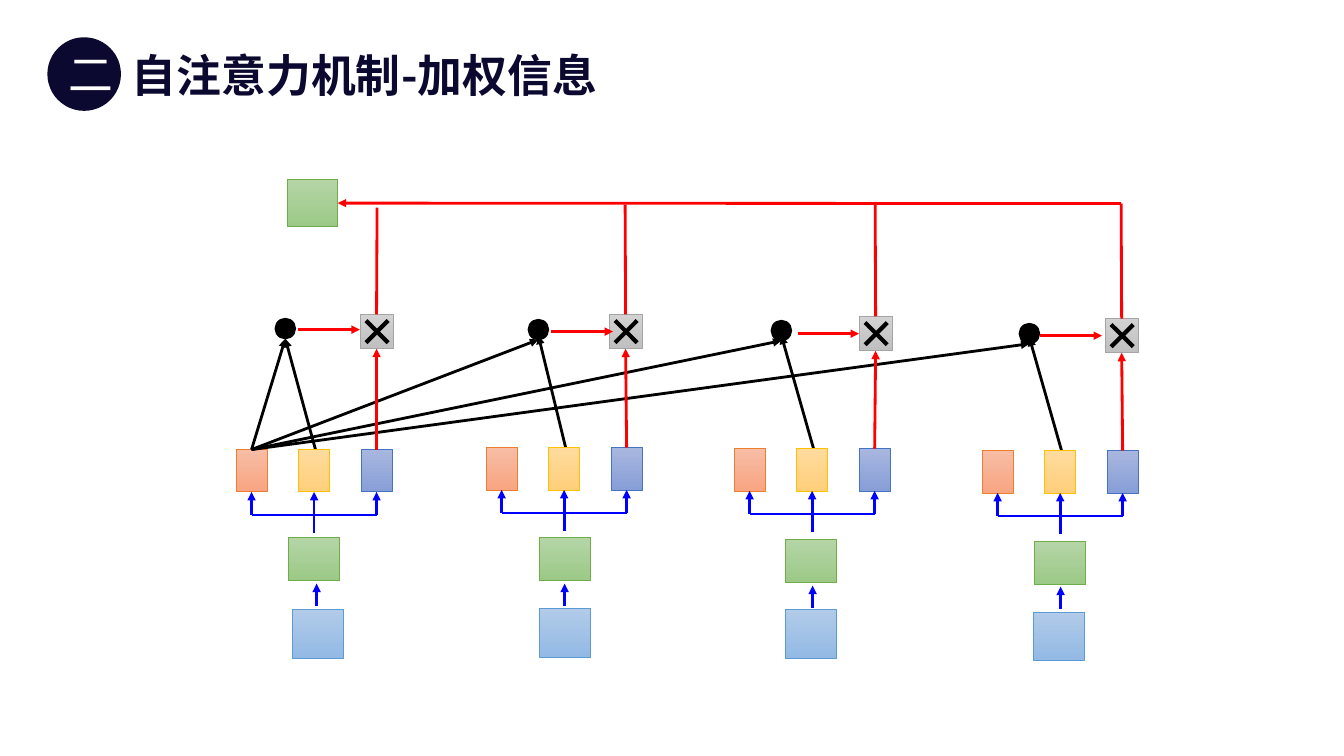
from lxml import etree
from pptx import Presentation
from pptx import util as u
from pptx.dml.color import RGBColor
from pptx.enum import shapes, text
from pptx.oxml.ns import qn

TITLE_NUMBER = "二"
TITLE = "自注意力机制-加权信息"
FONT = "Noto Sans CJK SC"
COLORS = {"navy": "0C0930", "white": "FFFFFF", "black": "000000", "blue": "0000FF", "red": "FF0000"}
BOX_COLORS = {
    "query": ("F7BDA5", "F8A582", "ED7D31"),
    "key": ("FFDB9E", "FFD07C", "FFC000"),
    "value": ("A8B7DF", "889ED7", "4472C4"),
    "embedding": ("B5D5A7", "9CC987", "70AD47"),
    "input": ("B1CBE9", "93B9E4", "5B9BD5"),
    "multiply": ("D2D2D2", "C0C0C0", "A5A5A5"),
}
BOX_SIZES = {
    "query": (0.31, 0.42), "key": (0.31, 0.42), "value": (0.31, 0.42),
    "embedding": (0.51, 0.43), "input": (0.51, 0.48), "multiply": (0.33, 0.34),
}
TOKENS = [
    {"query": (2.34, 4.46), "embedding": (2.86, 5.33), "input": (2.9, 6.05), "feed": (3.14, 6.01),
     "dot": (2.73, 3.16), "key_tip": 3.36, "multiply": (3.57, 3.12), "bus": (3.74, 2.06), "score": (2.96, 3.27)},
    {"query": (4.82, 4.44), "embedding": (5.35, 5.33), "input": (5.35, 6.04), "feed": (5.6, 6.01),
     "dot": (5.24, 3.17), "key_tip": 3.33, "multiply": (6.04, 3.12), "bus": (6.2, 2.03), "score": (5.47, 3.29)},
    {"query": (7.28, 4.45), "embedding": (7.79, 5.35), "input": (7.79, 6.05), "feed": (8.06, 6.03),
     "dot": (7.65, 3.18), "key_tip": 3.33, "multiply": (8.52, 3.14), "bus": (8.68, 2.01), "score": (7.91, 3.31)},
    {"query": (9.74, 4.47), "embedding": (10.26, 5.37), "input": (10.25, 6.07), "feed": (10.52, 6.04),
     "dot": (10.11, 3.21), "key_tip": 3.35, "multiply": (10.96, 3.16), "bus": (11.12, 2.02), "score": (10.32, 3.33)},
]
OUTPUT = (2.85, 1.78, 0.5, 0.47)
BUS_START = (11.12, 2.02)
DOT = 0.2
KEY_STEP, VALUE_STEP = 0.62, 1.24
FORK_DROP, STEM_DROP = 0.65, 0.83
SCORE_LENGTH, FEED_LENGTH = 0.61, 0.22
TOP, RIGHT, BOTTOM = 0, 3, 2

presentation = Presentation()
presentation.slide_width, presentation.slide_height = u.Inches(13.33), u.Inches(7.5)
slide = presentation.slides.add_slide(presentation.slide_layouts[6])


def color(name):
    return RGBColor.from_string(COLORS.get(name, name))


def add_shape(kind, left, top, width, height):
    shape = slide.shapes.add_shape(kind, *map(u.Inches, (left, top, width, height)))
    shape.shadow.inherit = False
    return shape


def add_box(role, left, top, width=None, height=None):
    default_width, default_height = BOX_SIZES[role]
    shape = add_shape(shapes.MSO_SHAPE.RECTANGLE, left, top, width or default_width, height or default_height)
    upper, lower, border = BOX_COLORS[role]
    shape.fill.gradient()
    shape.fill.gradient_angle = 270
    for stop, shade, position in zip(shape.fill.gradient_stops, (upper, lower), (0, 1)):
        stop.color.rgb = color(shade)
        stop.position = position
    shape.line.color.rgb = color(border)
    shape.line.width = u.Pt(0.5)
    return shape


def add_circle(name, left, top, size):
    shape = add_shape(shapes.MSO_SHAPE.OVAL, left, top, size, size)
    shape.fill.solid()
    shape.fill.fore_color.rgb = color(name)
    shape.line.color.rgb = color(name)
    shape.line.width = u.Pt(1)
    return shape


def add_line(start, end, name, arrow=True, width=2, begin=None, finish=None):
    line = slide.shapes.add_connector(shapes.MSO_CONNECTOR.STRAIGHT, *map(u.Inches, (*start, *end)))
    line.line.color.rgb = color(name)
    line.line.width = u.Pt(width)
    properties = line.line._get_or_add_ln()
    if arrow:
        etree.SubElement(properties, qn("a:tailEnd"), type="triangle")
    etree.SubElement(properties.getparent(), qn("a:effectLst"))
    if begin:
        line.begin_connect(*begin)
    if finish:
        line.end_connect(*finish)
    return line


def write(shape, content, name, bold=False):
    shape.text_frame.text = content
    paragraph = shape.text_frame.paragraphs[0]
    run = paragraph.runs[0]
    run.font.size = u.Pt(32)
    run.font.name = FONT
    run.font.bold = bold
    run.font.color.rgb = color(name)
    etree.SubElement(run.font._element, qn("a:ea"), typeface=FONT)
    return paragraph


def add_title():
    badge = add_circle("navy", 0.47, 0.37, 0.73)
    badge.line.fill.background()
    badge.text_frame.vertical_anchor = text.MSO_ANCHOR.MIDDLE
    write(badge, TITLE_NUMBER, "white").alignment = text.PP_ALIGN.CENTER
    heading = slide.shapes.add_textbox(*map(u.Inches, (1.21, 0.42, 7.1, 0.64)))
    heading.text_frame.word_wrap = True
    write(heading, TITLE, "navy", bold=True)


def add_token(token):
    left, top = token["query"]
    boxes = {role: add_box(role, *token[role]) for role in ("embedding", "input", "query")}
    boxes["key"] = add_box("key", left + KEY_STEP, top)
    boxes["value"] = add_box("value", left + VALUE_STEP, top)
    x, y = token["feed"]
    add_line((x, y), (x, y - FEED_LENGTH), "blue")
    middle = left + BOX_SIZES["query"][0] / 2
    fork = top + FORK_DROP
    drops = {"query": (0, fork), "key": (KEY_STEP, top + STEM_DROP), "value": (VALUE_STEP, fork)}
    for role, (shift, start) in drops.items():
        x = middle + shift
        add_line((x, start), (x, top), "blue", finish=(boxes[role], BOTTOM))
    add_line((middle, fork), (middle + VALUE_STEP, fork), "blue", arrow=False)
    return boxes


def add_weighting(token, value):
    left, top = token["multiply"]
    multiply = add_box("multiply", left, top)
    near, far = 0.06, 0.28
    for first, last in ((near, far), (far, near)):
        add_line((left + first, top + near), (left + last, top + far), "black", False, 3)
    add_line((left, top), (left, top), "red", begin=(value, TOP), finish=(multiply, BOTTOM))
    add_line((left, top), token["bus"], "red", arrow=False, begin=(multiply, TOP))
    x, y = token["score"]
    add_line((x, y), (x + SCORE_LENGTH, y), "red")


add_title()
for token in TOKENS:
    left, top = token["query"]
    add_line((left + 0.8, top + 0.04), (token["dot"][0] + DOT / 2, token["key_tip"]), "black")
token_boxes = [add_token(token) for token in TOKENS]
for token in TOKENS:
    add_circle("black", *token["dot"], DOT)
for token in reversed(TOKENS):
    x, y = token["dot"]
    add_line((x, y), (x + DOT / 2, y + DOT), "black", begin=(token_boxes[0]["query"], TOP))
output = add_box("embedding", *OUTPUT)
for token, boxes in zip(TOKENS, token_boxes):
    add_weighting(token, boxes["value"])
add_line(BUS_START, BUS_START, "red", finish=(output, RIGHT))

presentation.save("out.pptx")
